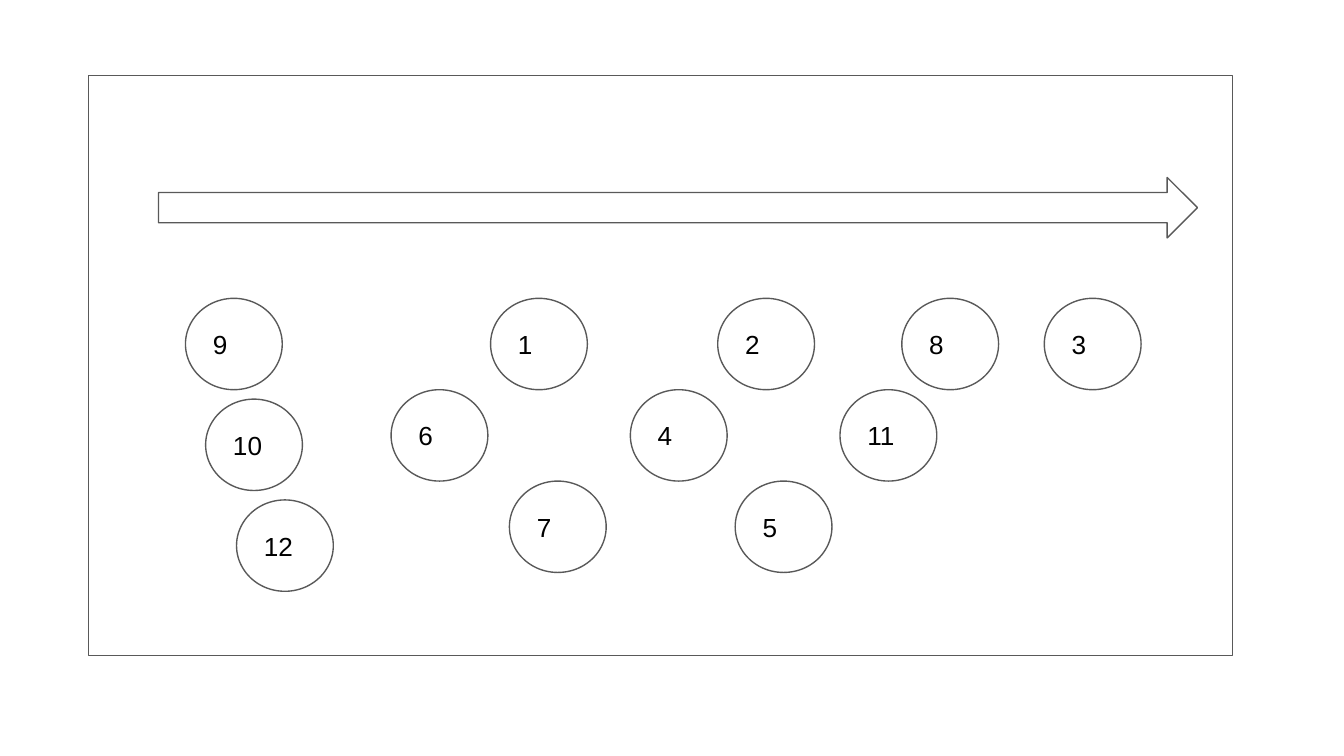
from pptx import Presentation
from pptx import util as u
from pptx.dml import color
from pptx.enum import shapes, text

COLORS = {"fill": "FFFFFF", "line": "595959", "text": "000000"}
CIRCLE_WIDTH, CIRCLE_HEIGHT = 0.72, 0.68
TOP_ROW = 2.22
MIDDLE_ROW = TOP_ROW + CIRCLE_HEIGHT
BOTTOM_ROW = MIDDLE_ROW + CIRCLE_HEIGHT
LEFT_STEP = 0.75

CIRCLES = [
    ("3", 7.77, TOP_ROW),
    ("8", 6.71, TOP_ROW),
    ("2", 5.34, TOP_ROW),
    ("11", 6.25, MIDDLE_ROW),
    ("4", 4.69, MIDDLE_ROW),
    ("1", 3.65, TOP_ROW),
    ("7", 3.79, BOTTOM_ROW),
    ("6", 2.91, MIDDLE_ROW),
    ("9", 1.38, TOP_ROW),
    ("10", 1.53, TOP_ROW + LEFT_STEP),
    ("12", 1.76, TOP_ROW + 2 * LEFT_STEP),
    ("5", 5.47, BOTTOM_ROW),
]


def rgb(name):
    return color.RGBColor.from_string(COLORS[name])


def add_outlined_shape(slide, kind, left, top, width, height):
    shape = slide.shapes.add_shape(
        kind, u.Inches(left), u.Inches(top), u.Inches(width), u.Inches(height)
    )
    shape.shadow.inherit = False
    shape.fill.solid()
    shape.fill.fore_color.rgb = rgb("fill")
    shape.line.color.rgb = rgb("line")
    shape.line.width = u.Pt(0.75)
    return shape


def add_numbered_circle(slide, number, left, top):
    shape = add_outlined_shape(
        slide, shapes.MSO_SHAPE.OVAL, left, top, CIRCLE_WIDTH, CIRCLE_HEIGHT
    )
    frame = shape.text_frame
    frame.margin_left = frame.margin_right = u.Inches(0.1)
    frame.margin_top = frame.margin_bottom = u.Inches(0.1)
    frame.vertical_anchor = text.MSO_ANCHOR.MIDDLE
    frame.word_wrap = True
    frame.text = number
    paragraph = frame.paragraphs[0]
    paragraph.alignment = text.PP_ALIGN.LEFT
    font = paragraph.runs[0].font
    font.name = "Arial"
    font.size = u.Pt(14)
    font.color.rgb = rgb("text")


def main():
    presentation = Presentation()
    presentation.slide_width = u.Inches(10)
    presentation.slide_height = u.Inches(10 * 9 / 16)
    slide = presentation.slides.add_slide(presentation.slide_layouts[6])

    add_outlined_shape(slide, shapes.MSO_SHAPE.RECTANGLE, 0.66, 0.56, 8.51, 4.32)
    add_outlined_shape(slide, shapes.MSO_SHAPE.RIGHT_ARROW, 1.18, 1.32, 7.73, 0.45)
    for number, left, top in CIRCLES:
        add_numbered_circle(slide, number, left, top)

    presentation.save("out.pptx")


if __name__ == "__main__":
    main()
